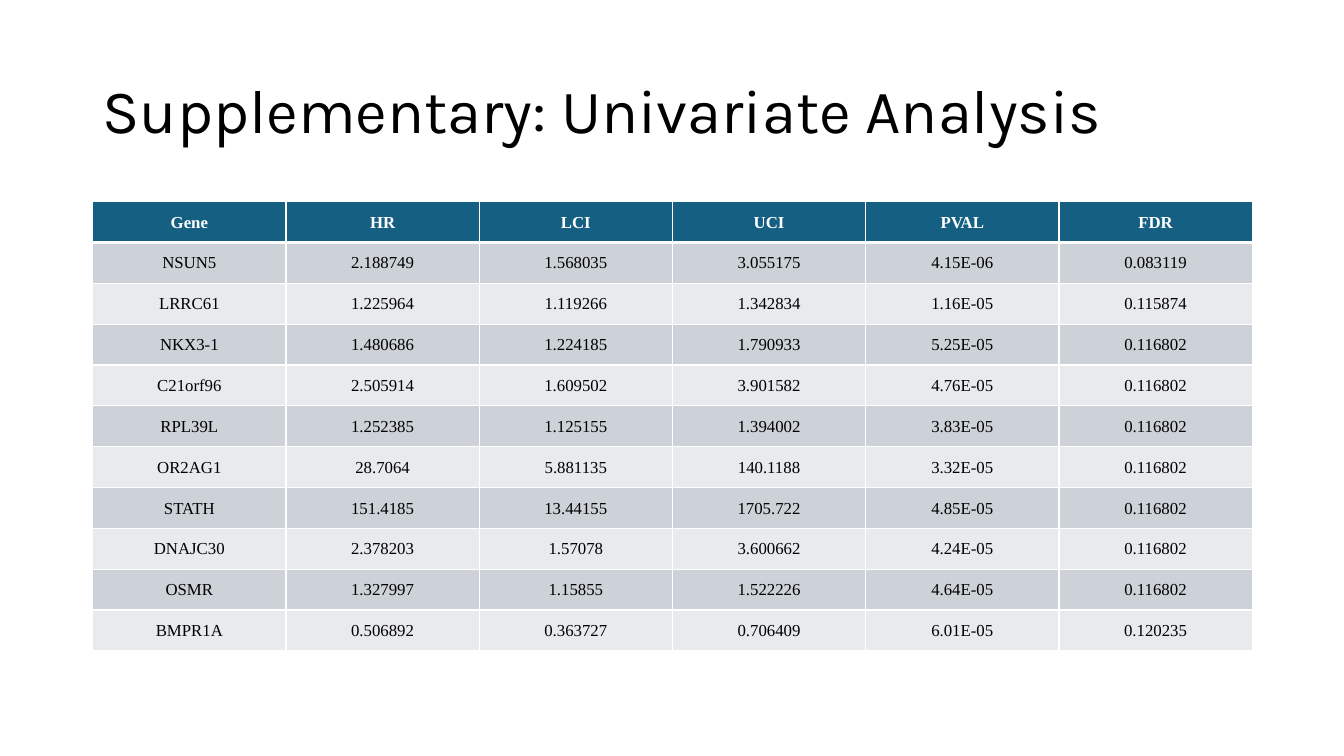
"""Build the supplementary univariate analysis slide with its gene table."""
from lxml import etree
from pptx import Presentation
from pptx.dml.color import RGBColor
from pptx.enum.text import MSO_ANCHOR, PP_ALIGN
from pptx.oxml.ns import qn
from pptx.util import Inches, Pt

MIDDLE = MSO_ANCHOR.MIDDLE
LEFT, CENTER = PP_ALIGN.LEFT, PP_ALIGN.CENTER
COLORS = {
    "text": "000000",
    "white": "FFFFFF",
    "header": "156082",
    "odd_row": "CCD2D8",
    "even_row": "E8EAED",
}
GENES = [
    ["Gene", "HR", "LCI", "UCI", "PVAL", "FDR"],
    ["NSUN5", "2.188749", "1.568035", "3.055175", "4.15E-06", "0.083119"],
    ["LRRC61", "1.225964", "1.119266", "1.342834", "1.16E-05", "0.115874"],
    ["NKX3-1", "1.480686", "1.224185", "1.790933", "5.25E-05", "0.116802"],
    ["C21orf96", "2.505914", "1.609502", "3.901582", "4.76E-05", "0.116802"],
    ["RPL39L", "1.252385", "1.125155", "1.394002", "3.83E-05", "0.116802"],
    ["OR2AG1", "28.7064", "5.881135", "140.1188", "3.32E-05", "0.116802"],
    ["STATH", "151.4185", "13.44155", "1705.722", "4.85E-05", "0.116802"],
    ["DNAJC30", "2.378203", "1.57078", "3.600662", "4.24E-05", "0.116802"],
    ["OSMR", "1.327997", "1.15855", "1.522226", "4.64E-05", "0.116802"],
    ["BMPR1A", "0.506892", "0.363727", "0.706409", "6.01E-05", "0.120235"],
]


def write(frame, text, *, font, size, color="text", bold=False, align=LEFT, spacing=1.0):
    paragraph = frame.paragraphs[0]
    paragraph.alignment = align
    paragraph.line_spacing = spacing
    run = paragraph.add_run()
    run.text = text
    run.font.name = font
    run.font.size = Pt(size)
    run.font.bold = bold
    run.font.color.rgb = RGBColor.from_string(COLORS[color])


def add_borders(cell, **widths):
    properties = cell._tc.get_or_add_tcPr()
    for position, (side, width) in enumerate(widths.items()):
        line = etree.Element(qn(f"a:ln{side}"), w=str(Pt(width)))
        fill = etree.SubElement(line, qn("a:solidFill"))
        etree.SubElement(fill, qn("a:srgbClr"), val=COLORS["white"])
        properties.insert(position, line)


prs = Presentation()
prs.slide_width, prs.slide_height = Inches(13.33), Inches(7.5)
slide = prs.slides.add_slide(prs.slide_layouts[6])

title = slide.shapes.add_textbox(Inches(0.92), Inches(0.4), Inches(11.5), Inches(1.45)).text_frame
title.word_wrap = True
title.vertical_anchor = MIDDLE
write(title, "Supplementary: Univariate Analysis", font="Karla", size=44, spacing=0.9)

gene_table = slide.shapes.add_table(
    len(GENES), len(GENES[0]), Inches(0.92), Inches(2), Inches(11.5), Inches(4.46)
).table

for row, values in enumerate(GENES):
    is_header = row == 0
    band = "header" if is_header else "odd_row" if row % 2 else "even_row"
    for column, value in enumerate(values):
        cell = gene_table.cell(row, column)
        cell.margin_left = cell.margin_right = cell.margin_top = Inches(0.01)
        cell.margin_bottom = 0
        cell.vertical_anchor = MIDDLE
        cell.fill.solid()
        cell.fill.fore_color.rgb = RGBColor.from_string(COLORS[band])
        add_borders(cell, L=1, R=1, T=3 if row == 1 else 1, B=3 if is_header else 1)
        write(cell.text_frame, value, font="Times New Roman", size=12,
              color="white" if is_header else "text", bold=is_header, align=CENTER)

prs.save("out.pptx")
